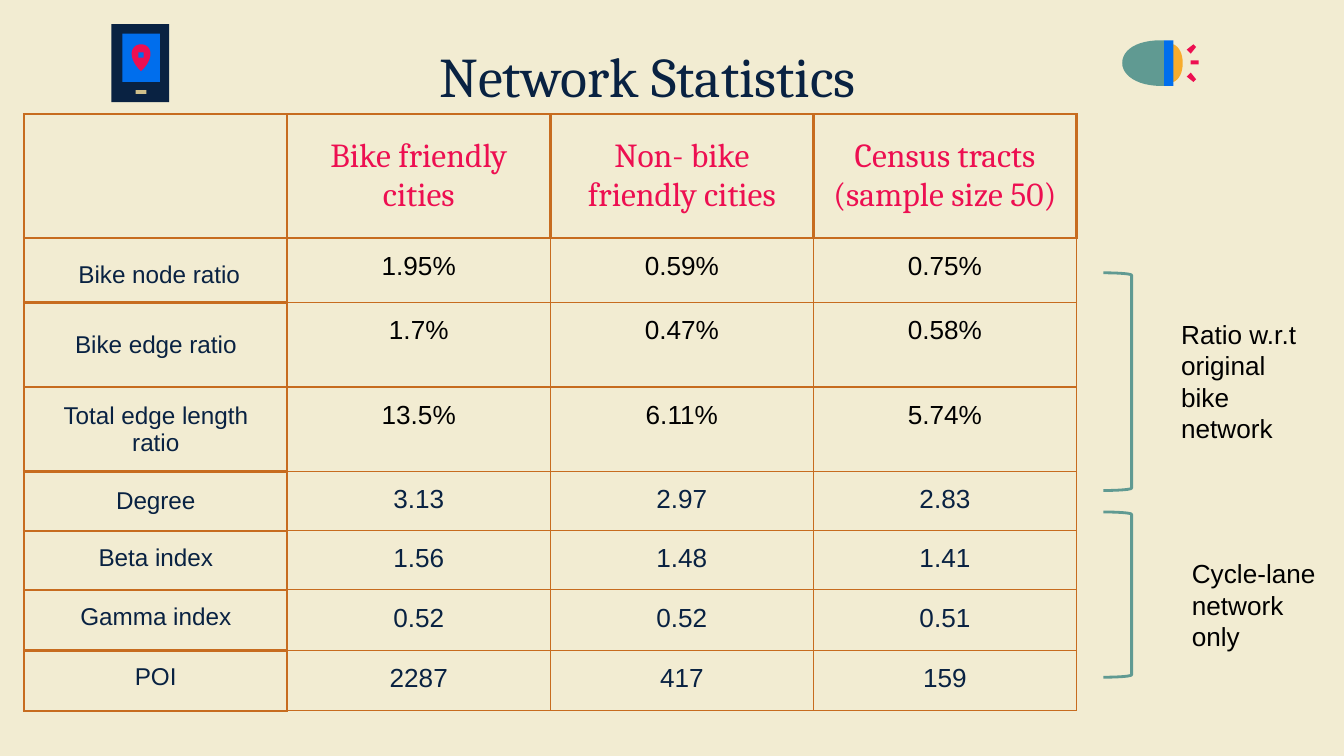
"""Build the Network Statistics slide with its table, side notes and icons."""
from dataclasses import dataclass

from lxml import etree
from pptx import Presentation
from pptx import util as u
from pptx.dml.color import RGBColor
from pptx.enum import shapes, text
from pptx.oxml import ns

CREAM = RGBColor(0xF2, 0xEC, 0xD2)
NAVY = RGBColor(0x09, 0x22, 0x42)
PINK = RGBColor(0xED, 0x0F, 0x51)
RUST = RGBColor(0xC7, 0x6C, 0x1F)
TEAL = RGBColor(0x60, 0x9A, 0x92)
BLUE = RGBColor(0x00, 0x6E, 0xED)
AMBER = RGBColor(0xF7, 0xAC, 0x2D)
SAND = RGBColor(0xCF, 0xBF, 0x8B)
BLACK = RGBColor(0x00, 0x00, 0x00)

CENTER = text.PP_ALIGN.CENTER
TOP, MIDDLE, BOTTOM = (
    text.MSO_ANCHOR.TOP, text.MSO_ANCHOR.MIDDLE, text.MSO_ANCHOR.BOTTOM)
THICK, THIN = 1.5, 0.75
SLIDE_WIDTH = 10
SLIDE_HEIGHT = SLIDE_WIDTH * 9 / 16
TABLE_WIDTH = 7.83


@dataclass(frozen=True)
class Row:
    label: str
    values: tuple[str, ...]
    height: float
    anchor: text.MSO_ANCHOR = TOP
    color: RGBColor = NAVY


@dataclass(frozen=True)
class Note:
    words: str
    bracket_top: float
    bracket_height: float
    area: tuple[float, float, float, float]


@dataclass(frozen=True)
class Block:
    area: tuple[float, float, float, float]
    color: RGBColor


@dataclass(frozen=True)
class Outline:
    start: tuple[float, float]
    steps: tuple[tuple[float, ...], ...]
    color: RGBColor


HEADINGS = ("Bike friendly cities", "Non- bike friendly cities",
            "Census tracts (sample size 50)")
ROWS = (
    Row(" Bike node ratio", ("1.95%", "0.59%", "0.75%"), 0.48, BOTTOM, BLACK),
    Row("Bike edge ratio", ("1.7%", "0.47%", "0.58%"), 0.63, MIDDLE, BLACK),
    Row("Total edge length ratio", ("13.5%", "6.11%", "5.74%"), 0.63, MIDDLE, BLACK),
    Row("Degree", ("3.13", "2.97", "2.83"), 0.44, MIDDLE),
    Row("Beta index", ("1.56", "1.48", "1.41"), 0.44),
    Row("Gamma index", ("0.52", "0.52", "0.51"), 0.45),
    Row("POI", ("2287", "417", "159"), 0.45),
)
NOTES = (
    Note("Ratio w.r.t original bike network", 2.03, 1.62, (8.69, 2.27, 1.06, 1.14)),
    Note("Cycle-lane network only", 3.81, 1.23, (8.77, 4.05, 1.23, 0.91)),
)
LAMP = (
    Outline((8.73, 0.33), ((8.71, 0.47), (8.73, 0.61),
                           (8.73, 0.61, 8.8, 0.59, 8.8, 0.47),
                           (8.8, 0.35, 8.73, 0.33, 8.73, 0.33)), AMBER),
    Block((8.86, 0.45, 0.06, 0.03), PINK),
    Outline((8.88, 0.33), ((8.83, 0.37), (8.86, 0.4), (8.9, 0.35)), PINK),
    Outline((8.86, 0.54), ((8.83, 0.57), (8.88, 0.61), (8.9, 0.59)), PINK),
    Outline((8.66, 0.3), ((8.64, 0.47), (8.66, 0.64), (8.73, 0.64), (8.73, 0.3)), BLUE),
    Outline((8.64, 0.3), ((8.46, 0.3, 8.35, 0.37, 8.35, 0.47),
                          (8.35, 0.56, 8.46, 0.64, 8.64, 0.64),
                          (8.66, 0.64), (8.66, 0.3)), TEAL),
)
PHONE = (
    Block((0.83, 0.18, 0.43, 0.58), NAVY),
    Block((0.91, 0.25, 0.28, 0.36), BLUE),
    Outline((1.05, 0.33), ((1.01, 0.33, 0.98, 0.36, 0.98, 0.4),
                           (0.98, 0.47, 1.05, 0.53, 1.05, 0.53),
                           (1.05, 0.53, 1.12, 0.47, 1.12, 0.4),
                           (1.12, 0.36, 1.09, 0.33, 1.05, 0.33)), PINK),
    Block((1.01, 0.67, 0.08, 0.03), SAND),
    Block((1.03, 0.39, 0.04, 0.04), BLUE),
)


def inches(*lengths: float) -> list[u.Length]:
    return [u.Inches(length) for length in lengths]


def write(frame, words: str, *, size: float, color: RGBColor,
          font: str = "Arial", align=None) -> None:
    frame.word_wrap = True
    para = frame.paragraphs[0]
    para.alignment = align
    span = para.add_run()
    span.text = words
    span.font.name, span.font.size = font, u.Pt(size)
    span.font.color.rgb = color


def set_insets(target) -> None:
    for side in ("left", "top", "right", "bottom"):
        setattr(target, f"margin_{side}", u.Inches(0.1))


def draw_borders(cell, row: int, column: int) -> None:
    heavy = {"lnL": row == 0 or column <= 1, "lnR": row == 0 or column == 0,
             "lnT": column == 0 or row <= 1, "lnB": row == 0 or column == 0}
    properties = cell._tc.get_or_add_tcPr()
    for position, (tag, is_heavy) in enumerate(heavy.items()):
        line = etree.Element(ns.qn(f"a:{tag}"))
        line.set("w", str(u.Pt(THICK if is_heavy else THIN)))
        fill = etree.SubElement(line, ns.qn("a:solidFill"))
        etree.SubElement(fill, ns.qn("a:srgbClr")).set("val", str(RUST))
        properties.insert(position, line)


def draw_table(page) -> None:
    heights = (0.92, *(row.height for row in ROWS))
    columns = len(HEADINGS) + 1
    table = page.shapes.add_table(
        len(heights), columns, *inches(0.18, 0.85, TABLE_WIDTH, sum(heights))).table
    table.first_row = table.horz_banding = False
    for index, height in enumerate(heights):
        table.rows[index].height = u.Inches(height)
        for column in range(columns):
            cell = table.cell(index, column)
            set_insets(cell)
            cell.fill.background()
            draw_borders(cell, index, column)
    for column, heading in enumerate(HEADINGS, 1):
        cell = table.cell(0, column)
        cell.vertical_anchor = MIDDLE
        write(cell.text_frame, heading, size=18, color=PINK, font="Cambria", align=CENTER)
    for index, row in enumerate(ROWS, 1):
        label = table.cell(index, 0)
        label.vertical_anchor = row.anchor
        write(label.text_frame, row.label, size=13, color=NAVY, align=CENTER)
        for column, value in enumerate(row.values, 1):
            write(table.cell(index, column).text_frame, value,
                  size=14, color=row.color, align=CENTER)


def draw_note(page, note: Note) -> None:
    bracket = page.shapes.add_shape(
        shapes.MSO_SHAPE.RIGHT_BRACKET,
        *inches(8.21, note.bracket_top, 0.21, note.bracket_height))
    bracket.adjustments[0] = 0.083
    bracket.shadow.inherit = False
    bracket.fill.background()
    bracket.line.color.rgb, bracket.line.width = TEAL, u.Pt(1.5)
    box = page.shapes.add_textbox(*inches(*note.area))
    set_insets(box.text_frame)
    write(box.text_frame, note.words, size=14, color=BLACK)


def trace(outline: Outline) -> list[tuple[float, float]]:
    points = [outline.start]
    for step in outline.steps:
        if len(step) == 2:
            points.append(step)
            continue
        corners = (points[-1], step[:2], step[2:4], step[4:])
        for t in (n / 12 for n in range(1, 13)):
            weights = ((1 - t) ** 3, 3 * t * (1 - t) ** 2, 3 * t * t * (1 - t), t ** 3)
            points.append(tuple(sum(w * corner[axis] for w, corner in zip(weights, corners))
                                for axis in (0, 1)))
    return points


def draw_icon(page, parts: tuple[Block | Outline, ...]) -> None:
    icon = page.shapes.add_group_shape()
    for part in parts:
        if isinstance(part, Block):
            shape = icon.shapes.add_shape(shapes.MSO_SHAPE.RECTANGLE, *inches(*part.area))
        else:
            first, *rest = [inches(*point) for point in trace(part)]
            builder = icon.shapes.build_freeform(*first)
            builder.add_line_segments(rest, close=True)
            shape = builder.convert_to_shape()
        shape.shadow.inherit = False
        shape.fill.solid()
        shape.fill.fore_color.rgb = part.color
        shape.line.fill.background()


def main() -> None:
    deck = Presentation()
    deck.slide_width, deck.slide_height = inches(SLIDE_WIDTH, SLIDE_HEIGHT)
    page = deck.slides.add_slide(deck.slide_layouts[5])
    page.background.fill.solid()
    page.background.fill.fore_color.rgb = CREAM
    title = page.shapes.title
    title.left, title.top, title.width, title.height = inches(0.61, 0.21, 8.42, 0.52)
    set_insets(title.text_frame)
    title.text_frame.auto_size = text.MSO_AUTO_SIZE.NONE
    title.text_frame.vertical_anchor = TOP
    write(title.text_frame, "Network Statistics", size=30, color=NAVY,
          font="Cambria", align=CENTER)
    draw_table(page)
    for note in NOTES:
        draw_note(page, note)
    for parts in (LAMP, PHONE):
        draw_icon(page, parts)
    deck.save("out.pptx")


if __name__ == "__main__":
    main()
